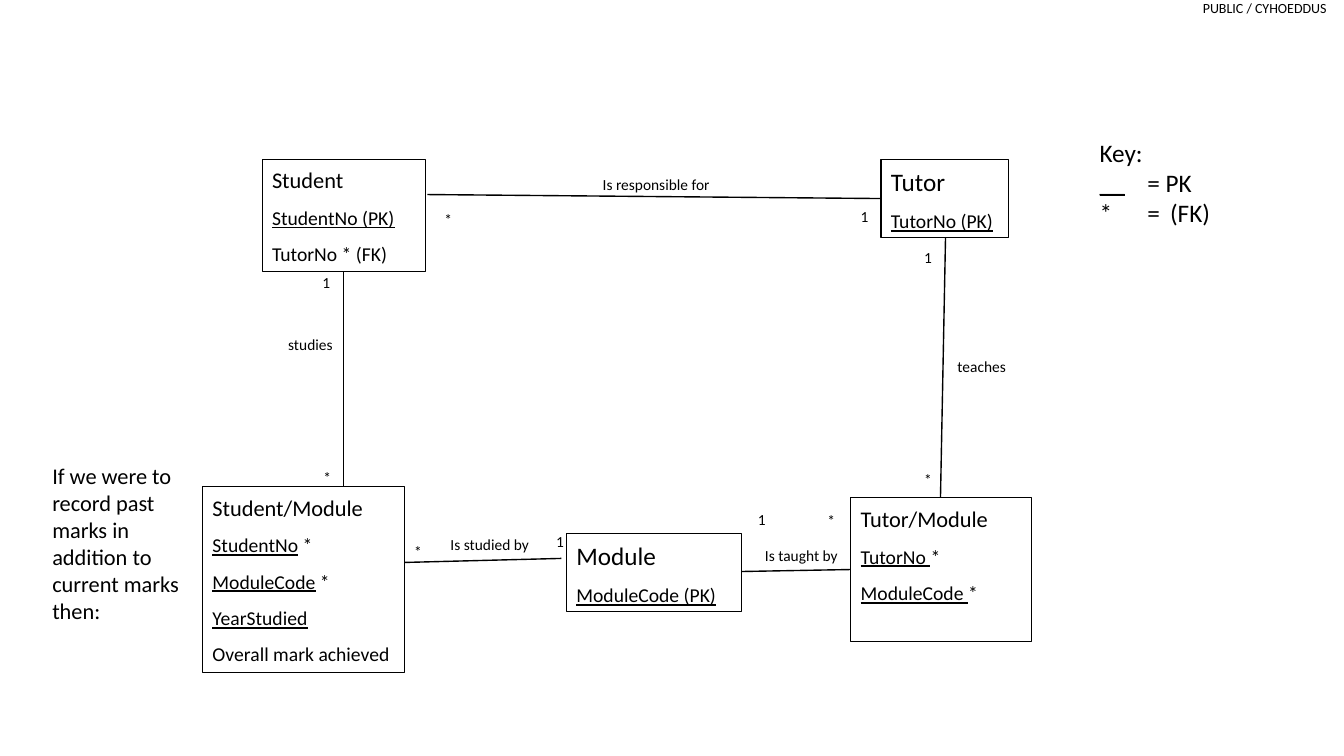
from dataclasses import dataclass

from lxml import etree
from pptx import Presentation
from pptx.dml.color import RGBColor
from pptx.enum.shapes import MSO_CONNECTOR, MSO_SHAPE
from pptx.enum.text import MSO_ANCHOR, PP_ALIGN
from pptx.oxml.ns import qn
from pptx.util import Inches, Pt

RECTANGLE = MSO_SHAPE.RECTANGLE
STRAIGHT = MSO_CONNECTOR.STRAIGHT
TOP = MSO_ANCHOR.TOP
LEFT, RIGHT = PP_ALIGN.LEFT, PP_ALIGN.RIGHT

# Grid: ten columns and ten rows to the inch
CELL = Inches(0.1)
SLIDE_COLUMNS, SLIDE_ROWS = 133.33, 75
FONT = "Calibri"
INK, PAPER = "000000", "FFFFFF"
LABEL_SIZE, ATTRIBUTE_SIZE = 11, 14
ENTITY_SPACING = (1.07, 8)
PLAIN_SPACING = (None, None)


@dataclass
class Area:
    column: float
    row: float
    columns: float
    rows: float


@dataclass
class Span:
    text: str
    underlined: bool = False


@dataclass
class Line:
    spans: list[Span]
    size: float


@dataclass
class Entity:
    title: str
    title_size: float
    area: Area
    attributes: list[list[Span]]


@dataclass
class Label:
    text: str
    area: Area


@dataclass
class Relation:
    start: tuple[float, float]
    end: tuple[float, float]


def grid(cells: float) -> int:
    return round(cells * CELL)


def place(area: Area) -> list[int]:
    return [grid(n) for n in (area.column, area.row, area.columns, area.rows)]


def colour(hex_code: str) -> RGBColor:
    return RGBColor.from_string(hex_code)


def key_of(text: str) -> Span:
    return Span(text, underlined=True)


def mark(text: str, column: float, row: float) -> Label:
    return Label(text, Area(column, row, 3, 3.2))


def write(frame, lines: list[Line], spacing=PLAIN_SPACING, align=LEFT, tabs=()) -> None:
    frame.word_wrap = True
    frame.vertical_anchor = TOP
    for index, line in enumerate(lines):
        paragraph = frame.paragraphs[0] if index == 0 else frame.add_paragraph()
        paragraph.alignment = align
        line_spacing, after = spacing
        if after is not None:
            paragraph.line_spacing = line_spacing
            paragraph.space_after = Pt(after)
        if tabs:
            stops = etree.SubElement(paragraph._p.get_or_add_pPr(), qn("a:tabLst"))
            for stop in tabs:
                etree.SubElement(stops, qn("a:tab"), pos=str(grid(stop)), algn="l")
        for span in line.spans:
            run = paragraph.add_run()
            run.text = span.text
            run.font.name = FONT
            run.font.size = Pt(line.size)
            run.font.color.rgb = colour(INK)
            run.font.underline = span.underlined


def draw_text(slide, area: Area, lines: list[Line], **style):
    frame = slide.shapes.add_textbox(*place(area)).text_frame
    write(frame, lines, **style)
    return frame


def draw_relation(slide, relation: Relation) -> None:
    ends = [grid(n) for n in (*relation.start, *relation.end)]
    connector = slide.shapes.add_connector(STRAIGHT, *ends)
    connector.line.color.rgb = colour(INK)
    connector.line.width = Pt(1)
    etree.SubElement(connector._element.spPr, qn("a:effectLst"))


def draw_entity(slide, entity: Entity) -> None:
    box = slide.shapes.add_shape(RECTANGLE, *place(entity.area))
    box.shadow.inherit = False
    box.fill.solid()
    box.fill.fore_color.rgb = colour(PAPER)
    box.line.color.rgb = colour(INK)
    box.line.width = Pt(0.75)
    title = Line([Span(entity.title)], entity.title_size)
    attributes = [Line(spans, ATTRIBUTE_SIZE) for spans in entity.attributes]
    write(box.text_frame, [title, *attributes], ENTITY_SPACING)


RELATIONS = [
    Relation((42.4, 19.3), (87.4, 19.7)),  # Student to Tutor
    Relation((34.1, 26.8), (34.1, 48.3)),  # Student to Student/Module
    Relation((40.1, 55.8), (55.7, 55.4)),  # Student/Module to Module
    Relation((73.6, 56.7), (84.4, 56.5)),  # Module to Tutor/Module
    Relation((93.8, 23.6), (93.3, 49.4)),  # Tutor to Tutor/Module
]

ENTITIES = [
    Entity("Student", 16, Area(26, 15.8, 16.2, 11.1),
           [[key_of("StudentNo (PK)")], [Span("TutorNo * (FK)")]]),
    Entity("Tutor", 18, Area(87.4, 15.8, 12.7, 7.8), [[key_of("TutorNo (PK)")]]),
    Entity("Module", 18, Area(56.2, 52.9, 17.4, 7.8), [[key_of("ModuleCode (PK)")]]),
    Entity("Student/Module", 16, Area(20.1, 48.3, 20, 18.4),
           [[key_of("StudentNo"), Span(" *")], [key_of("ModuleCode"), Span(" *")],
            [key_of("YearStudied")], [Span("Overall mark achieved")]]),
    Entity("Tutor/Module", 16, Area(84.4, 49.4, 17.9, 14.2),
           [[key_of("TutorNo "), Span("*")], [key_of("ModuleCode "), Span("*")]]),
]

LABELS = [
    Label("Is responsible for", Area(58.8, 16.8, 13.1, 4.2)),
    Label("teaches", Area(94, 34.8, 7.8, 4.2)),
    Label("studies", Area(27.6, 32.6, 7.8, 4.2)),
    Label("Is taught by", Area(74.9, 53.6, 9.5, 2.9)),
    Label("Is studied by", Area(43.7, 52.5, 9.8, 2.9)),
    mark("*", 43.1, 20.2),
    mark("1", 84.4, 19.9),
    mark("1", 31, 26.5),
    mark("*", 31.1, 45.8),
    mark("*", 40.1, 53.2),
    mark("1", 54.2, 52.2),
    mark("1", 74.2, 50),
    mark("*", 81.1, 50.1),
    mark("*", 90.7, 46),
    mark("1", 90.7, 24),
]

KEY = [
    Line([Span("Key:")], 18),
    Line([key_of("__\t"), Span("= PK")], 18),
    Line([Span("*\t=\t(FK)")], 18),
]
NOTE = "If we were to record past marks in addition to current marks then:"


def main() -> None:
    deck = Presentation()
    deck.slide_width, deck.slide_height = grid(SLIDE_COLUMNS), grid(SLIDE_ROWS)
    slide = deck.slides.add_slide(deck.slide_layouts[6])

    # Classification marking
    marking = draw_text(slide, Area(119, 0, 12.6, 1.7),
                        [Line([Span("PUBLIC / CYHOEDDUS")], 10)], align=RIGHT)
    marking.margin_left = marking.margin_right = 0
    marking.margin_top = marking.margin_bottom = 0

    # Entity relationship diagram
    for relation in RELATIONS:
        draw_relation(slide, relation)
    for entity in ENTITIES:
        draw_entity(slide, entity)
    for label in LABELS:
        draw_text(slide, label.area, [Line([Span(label.text)], LABEL_SIZE)],
                  spacing=ENTITY_SPACING)

    # Key and side note
    draw_text(slide, Area(108.1, 13.1, 14.9, 10.1), KEY, tabs=(4.75, 7))
    draw_text(slide, Area(4.2, 45.4, 15.8, 17.2), [Line([Span(NOTE)], 16)])

    deck.save("out.pptx")


if __name__ == "__main__":
    main()
